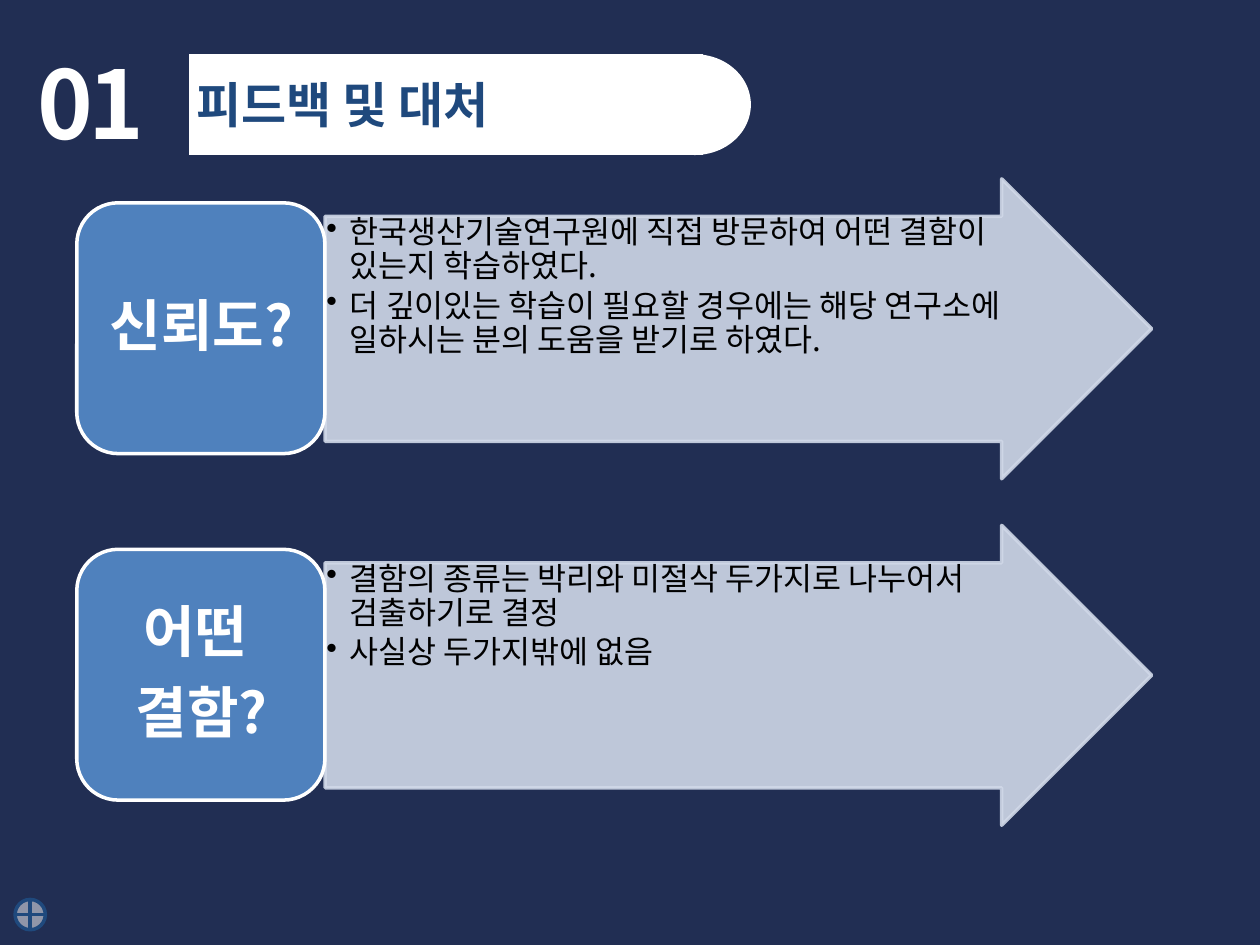
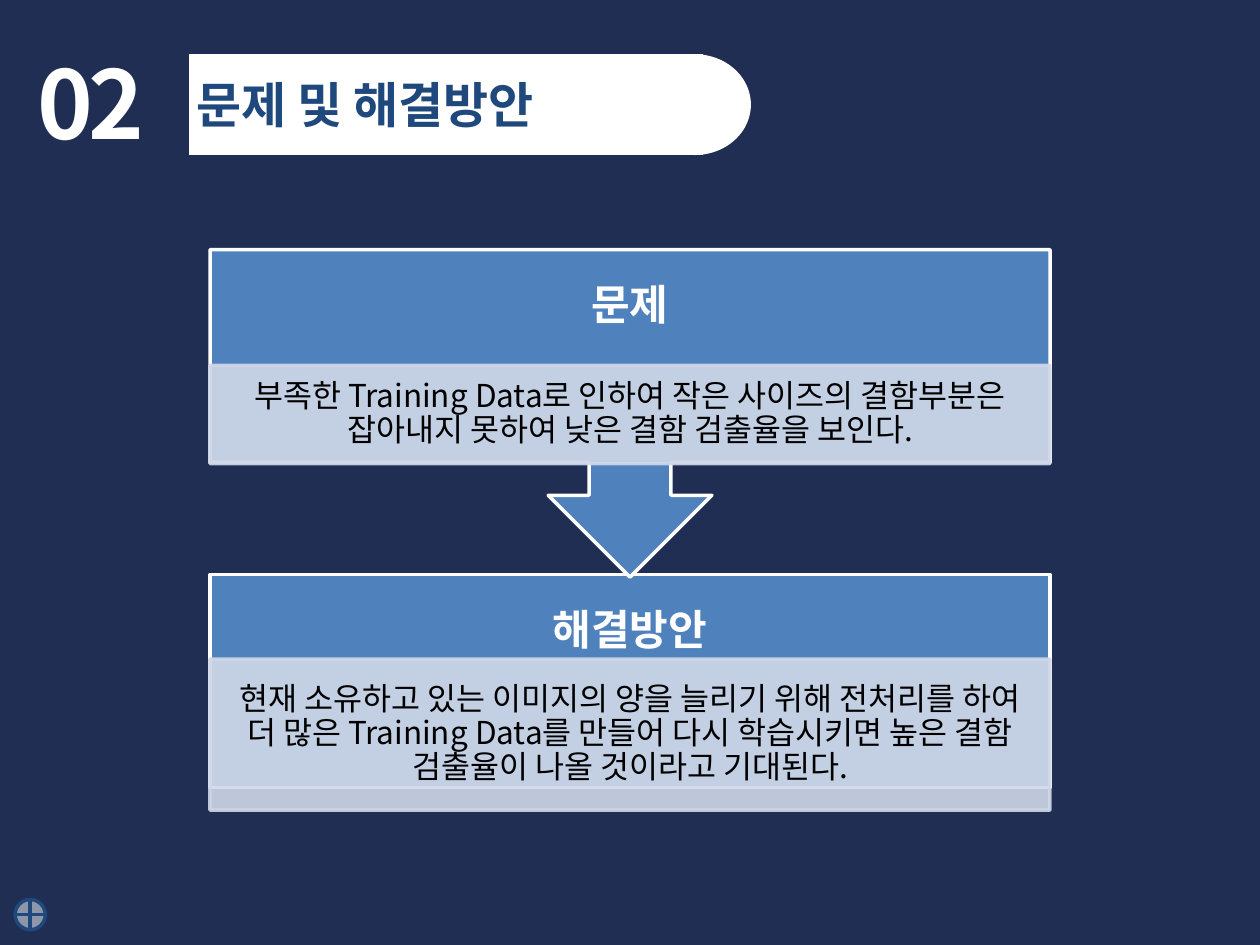
from dataclasses import dataclass

import lxml.etree
import pptx
import pptx.dml.color
import pptx.enum.shapes
import pptx.enum.text
import pptx.oxml.ns
import pptx.util

Pt = pptx.util.Pt
SHAPE = pptx.enum.shapes.MSO_SHAPE
ALIGN = pptx.enum.text.PP_ALIGN
ANCHOR = pptx.enum.text.MSO_ANCHOR
qn = pptx.oxml.ns.qn

FONT = "Noto Sans CJK KR"
NAVY, BLUE, STEEL = "212E53", "1F497D", "4F81BD"
PALE, WHITE, BLACK = "D0D8E8", "FFFFFF", "000000"


@dataclass
class Box:
    left: float
    top: float
    width: float
    height: float

    def lengths(self) -> list:
        return [Pt(n) for n in (self.left, self.top, self.width, self.height)]


@dataclass
class Row:
    head: str
    points: str


@dataclass
class Card:
    head: str
    body: str
    top: float         # top of the blue block
    height: float      # height of the blue block
    split: float       # top of the pale panel
    panel: float       # height of the pale panel
    shape: int
    turn: int = 0


def color(code: str) -> pptx.dml.color.RGBColor:
    return pptx.dml.color.RGBColor.from_string(code)


def fade(part, percent: int) -> None:
    """Make every colour inside an XML part see-through."""
    for node in part.iter(qn("a:srgbClr")):
        lxml.etree.SubElement(node, qn("a:alpha"), val=str(percent * 1000))


def block(slide, kind: int, box: Box, fill: str, line: str = "", turn: int = 0):
    shape = slide.shapes.add_shape(kind, *box.lengths())
    shape.shadow.inherit = False
    shape.rotation = turn
    shape.fill.solid()
    shape.fill.fore_color.rgb = color(fill)
    if line:
        shape.line.color.rgb = color(line)
        shape.line.width = Pt(2)
    else:
        shape.line.fill.background()
    return shape


def pale(slide, kind: int, box: Box):
    shape = block(slide, kind, box, PALE, PALE)
    fade(shape._element.spPr, 90)
    return shape


def write(slide, box: Box, text: str, *, size: float, ink: str = WHITE,
          bold: bool = False, align=ALIGN.LEFT, anchor=ANCHOR.TOP,
          pad: tuple = (7.2, 3.6), tight: float = 1, after: float = 0,
          bullet: bool = False, track: int = 0) -> None:
    """Add a text box; each line of the text is one paragraph."""
    frame = slide.shapes.add_textbox(*box.lengths()).text_frame
    frame.word_wrap = True
    frame.vertical_anchor = anchor
    frame.margin_left = frame.margin_right = Pt(pad[0])
    frame.margin_top = frame.margin_bottom = Pt(pad[1])
    for index, line in enumerate(text.split("\n")):
        para = frame.add_paragraph() if index else frame.paragraphs[0]
        if bullet:
            para.level = 1
            props = para._p.get_or_add_pPr()
            props.set("marL", str(Pt(13.5)))
            props.set("indent", str(-Pt(13.5)))
            lxml.etree.SubElement(props, qn("a:buChar"), char="•")
        para.alignment = align
        para.line_spacing = tight
        para.space_after = Pt(after)
        run = para.add_run()
        run.text = line
        run.font.name = FONT
        run.font.size = Pt(size)
        run.font.bold = bold
        run.font.color.rgb = color(ink)
        props = run._r.get_or_add_rPr()
        lxml.etree.SubElement(props, qn("a:ea"), typeface=FONT)
        if track:
            props.set("spc", str(track * 100))


def start(deck, number: str, title: str):
    """Add a slide with the shared ground, title band and corner mark."""
    slide = deck.slides.add_slide(deck.slide_layouts[6])
    slide.background.fill.solid()
    slide.background.fill.fore_color.rgb = color(NAVY)
    write(slide, Box(14.4, 22.3, 109.4, 72), number, size=54, bold=True, track=-3)
    mark = block(slide, SHAPE.FLOWCHART_OR, Box(8.64, 514, 17.3, 17.3), WHITE, BLUE)
    fade(mark._element.spPr.find(qn("a:solidFill")), 50)
    block(slide, SHAPE.RECTANGLE, Box(108, 31, 293.8, 57.6), WHITE)
    block(slide, SHAPE.OVAL, Box(365, 31, 64.1, 57.6), WHITE)
    write(slide, Box(105.1, 38.9, 406, 41), title, size=28, ink=BLUE, bold=True)
    return slide


def draw_row(slide, row: Row, top: float) -> None:
    # Arrow with its points
    arrow = pale(slide, SHAPE.RIGHT_ARROW, Box(185.8, top, 472.3, 171.4))
    arrow.adjustments[0] = 0.75
    arrow.adjustments[1] = 0.5
    write(slide, Box(185.8, top + 20.9, 407.5, 128.9), row.points, size=18,
          ink=BLACK, pad=(0.72, 0.72), tight=0.9, after=3, bullet=True)
    # Rounded heading
    block(slide, SHAPE.ROUNDED_RECTANGLE, Box(43.9, top + 13.7, 141.8, 143.3),
          STEEL, WHITE)
    write(slide, Box(51.1, top + 20.9, 128.2, 128.9), row.head, size=32,
          bold=True, align=ALIGN.CENTER, anchor=ANCHOR.MIDDLE,
          pad=(9.36, 5.04), tight=0.9, after=11.7)


def draw_card(slide, card: Card) -> None:
    left, width = 120, 480
    style = dict(align=ALIGN.CENTER, anchor=ANCHOR.MIDDLE, tight=0.9)
    block(slide, card.shape, Box(left, card.top, width, card.height),
          STEEL, WHITE, card.turn)
    write(slide, Box(left, card.top, width, 65.6), card.head, size=24,
          bold=True, pad=(13.7, 13.7), after=8.8, **style)
    panel = Box(left, card.split, width, card.panel)
    pale(slide, SHAPE.RECTANGLE, panel)
    write(slide, panel, card.body, size=18, ink=BLACK, pad=(10.1, 2.2),
          after=6.6, **style)


ROWS = [
    Row("신뢰도?",
        "한국생산기술연구원에 직접 방문하여 어떤 결함이 있는지 학습하였다.\n"
        "더 깊이있는 학습이 필요할 경우에는 해당 연구소에 일하시는 분의 도움을 받기로 하였다."),
    Row("어떤 \n결함?",
        "결함의 종류는 박리와 미절삭 두가지로 나누어서 검출하기로 결정\n"
        "사실상 두가지밖에 없음"),
]

# Lower card first, so the arrow of the upper one lies over it
CARDS = [
    Card("해결방안",
         "현재 소유하고 있는 이미지의 양을 늘리기 위해 전처리를 하여 더 많은 "
         "Training Data를 만들어 다시 학습시키면 높은 결함 검출율이 나올 것이라고 기대된다.",
         328.3, 121.7, 376.6, 86.4, SHAPE.RECTANGLE),
    Card("문제",
         "부족한 Training Data로 인하여 작은 사이즈의 결함부분은 잡아내지 못하여 "
         "낮은 결함 검출율을 보인다.",
         142.6, 187.2, 208.8, 56.2, SHAPE.UP_ARROW_CALLOUT, 180),
]


def main() -> None:
    deck = pptx.Presentation()
    deck.slide_width, deck.slide_height = Pt(720), Pt(540)

    # Slide 1: feedback
    slide = start(deck, "01", "피드백 및 대처")
    for index, row in enumerate(ROWS):
        draw_row(slide, row, 102.2 + 198 * index)

    # Slide 2: problem and answer
    slide = start(deck, "02", "문제 및 해결방안")
    for card in CARDS:
        draw_card(slide, card)

    deck.save("out.pptx")


if __name__ == "__main__":
    main()
